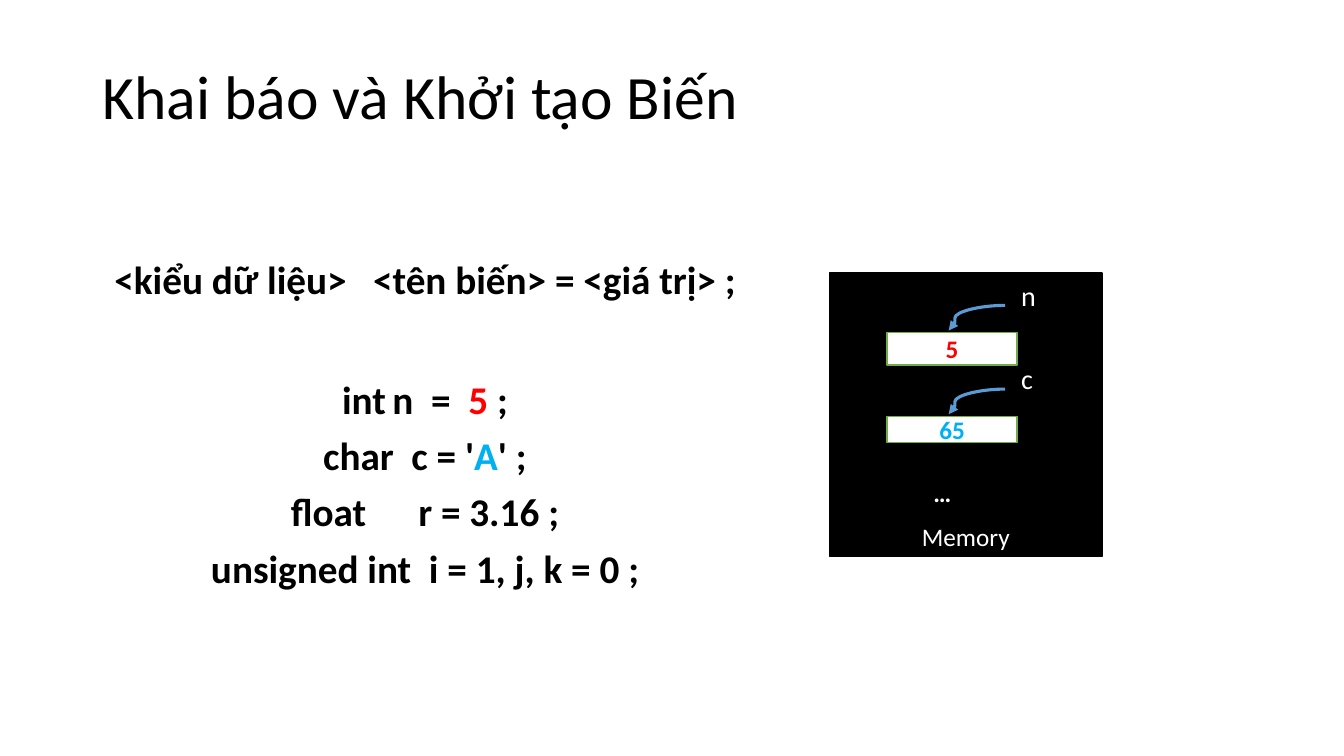
from lxml import etree
from pptx import Presentation
from pptx.dml.color import RGBColor
from pptx.enum.shapes import MSO_CONNECTOR, MSO_SHAPE
from pptx.enum.text import MSO_ANCHOR, PP_ALIGN
from pptx.oxml.ns import qn
from pptx.util import Inches, Pt

BLACK = RGBColor(0x00, 0x00, 0x00)
WHITE = RGBColor(0xFF, 0xFF, 0xFF)
RED = RGBColor(0xFF, 0x00, 0x00)
CYAN = RGBColor(0x00, 0xB0, 0xF0)
GREEN = RGBColor(0x70, 0xAD, 0x47)
BLUE = RGBColor(0x5B, 0x9B, 0xD5)

LEFT, MID = PP_ALIGN.LEFT, PP_ALIGN.CENTER
TOP, CENTER, BOTTOM = MSO_ANCHOR.TOP, MSO_ANCHOR.MIDDLE, MSO_ANCHOR.BOTTOM
RECT, CURVE = MSO_SHAPE.RECTANGLE, MSO_CONNECTOR.CURVE

WIDE, HIGH = Inches(13.33), Inches(7.5)
FONT = "Calibri"

# Each line is a list of (text, colour) runs.
CODE = [
    [("<kiểu dữ liệu>   <tên biến> = <giá trị> ;", BLACK)],
    [("int\tn  =  ", BLACK), ("5", RED), (" ;", BLACK)],
    [("char  c = '", BLACK), ("A", CYAN), ("' ;", BLACK)],
    [("float\t   r = 3.16 ;", BLACK)],
    [("unsigned int  i = 1, j, k = 0 ;", BLACK)],
]
GAPS = [0, 55, 10, 10, 10]

# Variable name, value, value colour, height of its cell
VARS = [("n", "5", RED, 4.27), ("c", "65", CYAN, 3.47)]
FIRST, STEP = 36.13, 11.07


def place(x, y):
    """Turn percentages of the slide's width and height into lengths."""
    return int(WIDE * x / 100), int(HIGH * y / 100)


def put(item, values):
    for name, value in values.items():
        setattr(item, name, value)


def write(shape, lines, size, bold=False, align=LEFT, anchor=TOP,
          wrap=True, space=1.0, gaps=(0,)):
    frame = shape.text_frame
    put(frame, {"word_wrap": wrap, "vertical_anchor": anchor})
    for i, (line, gap) in enumerate(zip(lines, gaps)):
        para = frame.add_paragraph() if i else frame.paragraphs[0]
        put(para, {"alignment": align, "line_spacing": space,
                   "space_before": Pt(gap)})
        for text, color in line:
            run = para.add_run()
            run.text = text
            put(run.font, {"name": FONT, "size": Pt(size), "bold": bold})
            run.font.color.rgb = color


def label(slide, x, y, w, h, lines, size, **style):
    box = slide.shapes.add_textbox(*place(x, y), *place(w, h))
    write(box, lines, size, **style)


def block(slide, x, y, w, h, fill, edge, text, color, bold=True,
          anchor=CENTER):
    rect = slide.shapes.add_shape(RECT, *place(x, y), *place(w, h))
    rect.shadow.inherit = False
    rect.fill.solid()
    rect.fill.fore_color.rgb = fill
    rect.line.color.rgb = edge
    rect.line.width = Pt(1)
    write(rect, [[(text, color)]], 18, bold=bold, align=MID, anchor=anchor)


def arrow(slide, x1, y1, x2, y2, bend):
    """Draw a curved arrow that turns at the given share of its width."""
    link = slide.shapes.add_connector(CURVE, *place(x1, y1), *place(x2, y2))
    link.line.color.rgb = BLUE
    link.line.width = Pt(2.25)
    props = link._element.spPr
    geom = props.find(qn("a:prstGeom"))
    guides = geom.find(qn("a:avLst"))
    if guides is None:
        guides = etree.SubElement(geom, qn("a:avLst"))
    etree.SubElement(guides, qn("a:gd"), name="adj1",
                     fmla=f"val {round(bend * 100000)}")
    etree.SubElement(props.find(qn("a:ln")), qn("a:tailEnd"),
                     type="triangle")
    etree.SubElement(props, qn("a:effectLst"))


def memory(slide):
    block(slide, 61.74, FIRST, 20.25, 37.47, BLACK, BLACK, "Memory", WHITE,
          bold=False, anchor=BOTTOM)
    for i, (name, value, color, tall) in enumerate(VARS):
        y = FIRST + i * STEP
        block(slide, 66, y + 7.87, 9.68, tall, WHITE, GREEN, value, color)
        label(slide, 75.24, y, 3.9, 5.87, [[(name, WHITE)]], 20, wrap=False)
        arrow(slide, 74.79, y + 4.27, 70.59, y + 7.6, 0.89)
    block(slide, 67.82, 61.73, 4.58, 6.93, BLACK, BLACK, "…", WHITE)


def main():
    deck = Presentation()
    put(deck, {"slide_width": WIDE, "slide_height": HIGH})
    slide = deck.slides.add_slide(deck.slide_layouts[6])
    label(slide, 6.9, 3.47, 86.25, 19.33,
          [[("Khai báo và Khởi tạo Biến", BLACK)]], 44,
          anchor=CENTER, space=0.9)
    label(slide, 6.9, 33.87, 49.44, 56.27, CODE, 28,
          bold=True, align=MID, space=0.9, gaps=GAPS)
    memory(slide)
    deck.save("out.pptx")


if __name__ == "__main__":
    main()
